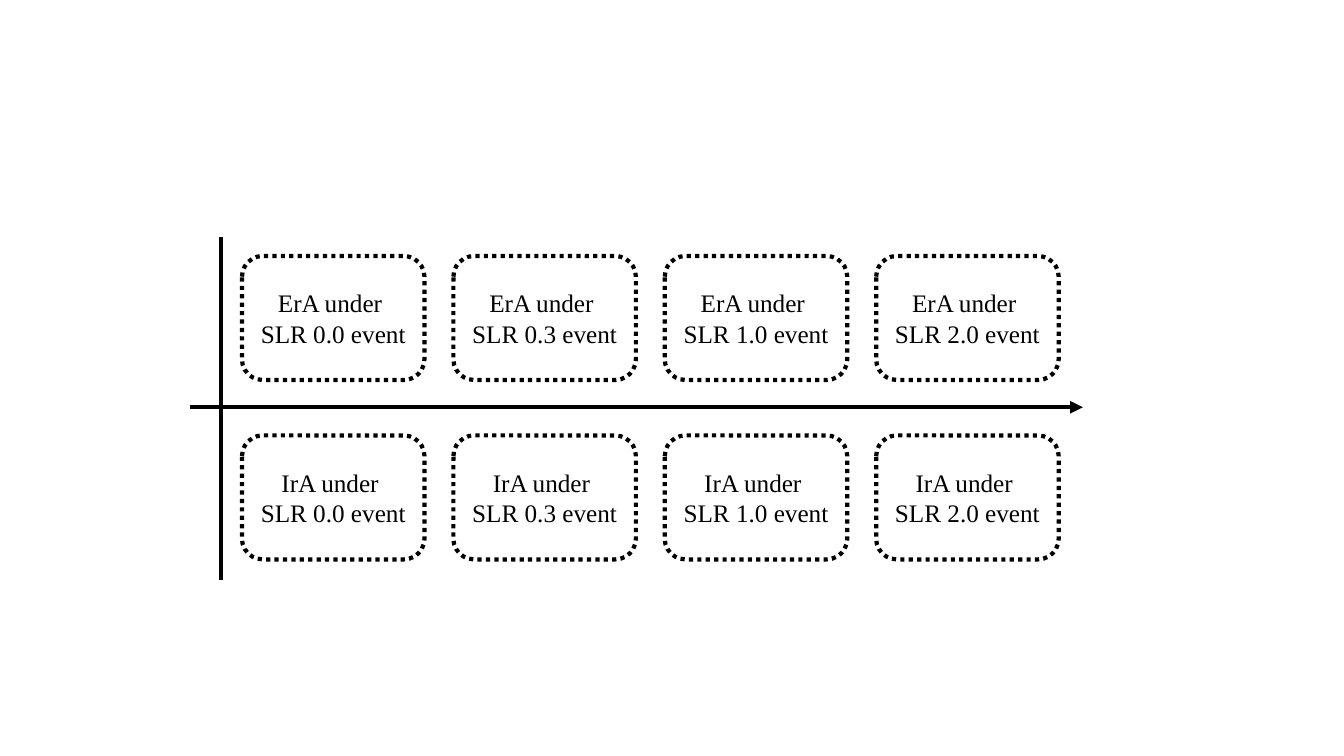
from lxml import etree
from pptx import Presentation
from pptx.dml.color import RGBColor
from pptx.enum.dml import MSO_LINE
from pptx.enum.shapes import MSO_CONNECTOR, MSO_SHAPE
from pptx.enum.text import MSO_ANCHOR, PP_ALIGN
from pptx.oxml.ns import qn
from pptx.util import Inches, Pt

STRAIGHT = MSO_CONNECTOR.STRAIGHT
ROUNDED = MSO_SHAPE.ROUNDED_RECTANGLE
DOTTED = MSO_LINE.ROUND_DOT
MIDDLE = MSO_ANCHOR.MIDDLE
CENTER = PP_ALIGN.CENTER

COLORS = {"ink": "000000"}
FONT = "Times New Roman"
LINE_WIDTH = Pt(3)
AREAS = ["ErA", "IrA"]
LEVELS = ["0.0", "0.3", "1.0", "2.0"]


def rgb(name):
    """Return the named colour."""
    return RGBColor.from_string(COLORS[name])


def style_line(line):
    """Give a line the common colour and width."""
    line.color.rgb = rgb("ink")
    line.width = LINE_WIDTH


def add_axis(slide, x1, y1, x2, y2, arrow=False):
    """Draw one axis, with an arrowhead at its end if asked for."""
    c = slide.shapes.add_connector(
        STRAIGHT, Inches(x1), Inches(y1), Inches(x2), Inches(y2))
    style_line(c.line)
    if arrow:
        ln = c.line._get_or_add_ln()
        etree.SubElement(ln, qn("a:tailEnd"), type="triangle")
    etree.SubElement(c._element.spPr, qn("a:effectLst"))


def add_event(slide, left, top, width, height, lines):
    """Draw one dotted event box with centred lines of text."""
    sp = slide.shapes.add_shape(
        ROUNDED, Inches(left), Inches(top), Inches(width), Inches(height))
    sp.shadow.inherit = False
    sp.fill.background()
    style_line(sp.line)
    sp.line.dash_style = DOTTED
    tf = sp.text_frame
    tf.word_wrap = True
    tf.vertical_anchor = MIDDLE
    p = tf.paragraphs[0]
    p.alignment = CENTER
    for i, text in enumerate(lines):
        if i:
            p.add_line_break()
        r = p.add_run()
        r.text = text
        r.font.name = FONT
        r.font.size = Pt(18)
        r.font.color.rgb = rgb("ink")


def add_event_grid(slide, left, top, width, height):
    """Fill the box with a row for each area and a column for each level."""
    box_w, box_h = 1.81, 1.23
    step_x = (width - box_w) / (len(LEVELS) - 1)
    step_y = (height - box_h) / (len(AREAS) - 1)
    for row, area in enumerate(AREAS):
        for col, level in enumerate(LEVELS):
            add_event(slide, left + col * step_x, top + row * step_y,
                      box_w, box_h, [f"{area} under ", f"SLR {level} event"])


def add_event_chart(slide, left, top, width, height):
    """Draw the axes and the event boxes within the given box."""
    axis_y = top + 1.69
    axis_x = left + 0.31
    add_axis(slide, left, axis_y, left + width, axis_y, arrow=True)
    add_event_grid(slide, left + 0.52, top + 0.19, width - 0.76, height - 0.39)
    add_axis(slide, axis_x, top, axis_x, top + height)


prs = Presentation()
prs.slide_width = Inches(13.33)
prs.slide_height = Inches(7.5)
s = prs.slides.add_slide(prs.slide_layouts[6])
add_event_chart(s, 1.88, 2.35, 8.86, 3.4)
prs.save("out.pptx")
